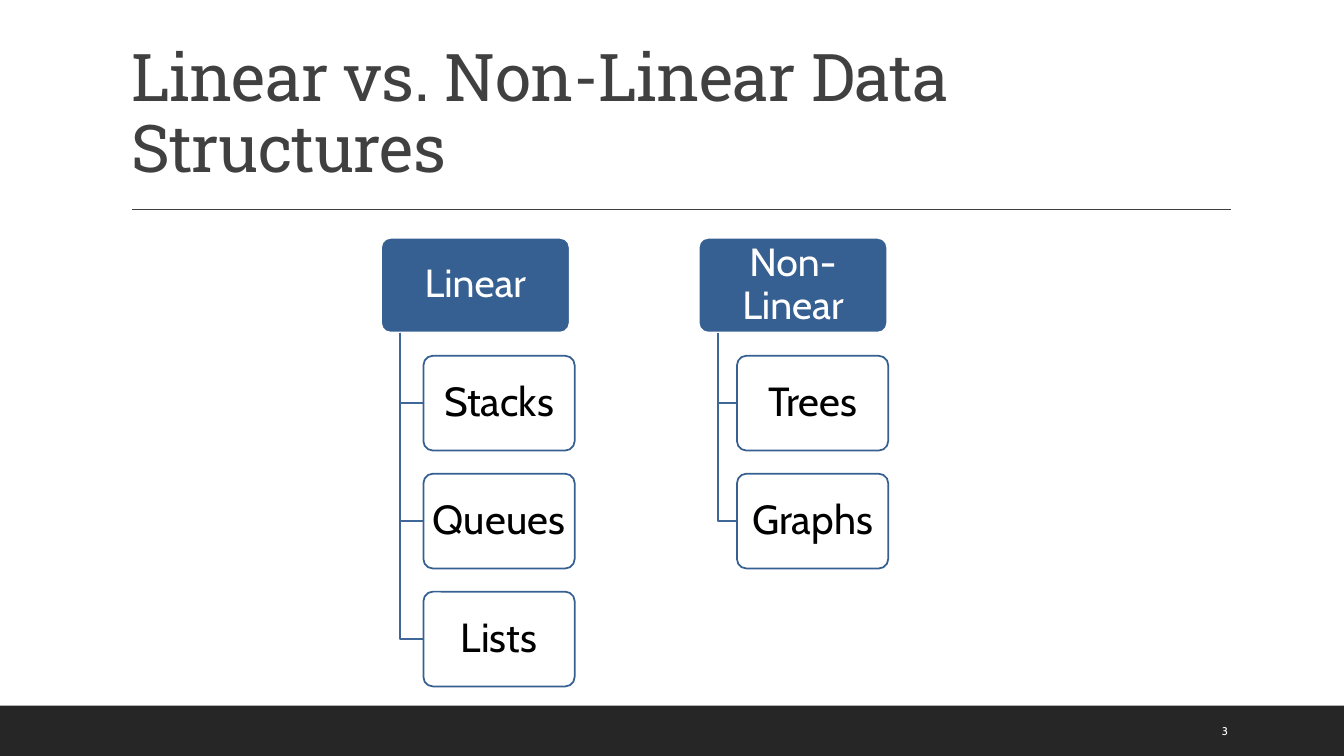
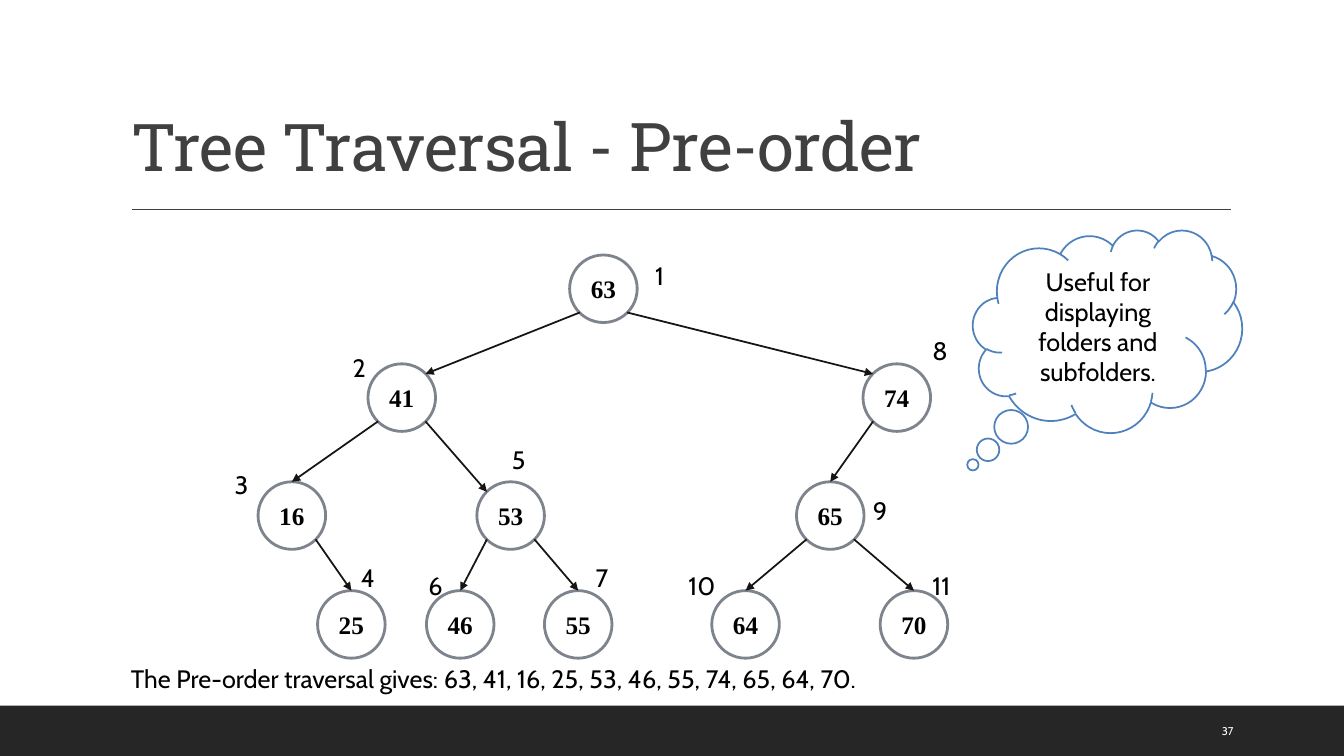
from dataclasses import dataclass
from typing import NamedTuple

from lxml.etree import SubElement
from pptx import Presentation
from pptx.dml.color import RGBColor
from pptx.enum.shapes import MSO_CONNECTOR as Link, MSO_SHAPE as Preset
from pptx.enum.text import MSO_ANCHOR as Anchor, MSO_AUTO_SIZE as AutoSize, PP_ALIGN as Align
from pptx.oxml.ns import qn
from pptx.shapes.autoshape import Shape
from pptx.shapes.connector import Connector
from pptx.slide import Slide
from pptx.text.text import TextFrame
from pptx.util import Emu, Pt

EMU_PER_PX = 9144
SLIDE_W, SLIDE_H = 1333, 750
TITLE_ONLY = 5


@dataclass(frozen=True)
class Theme:
    white: str = "FFFFFF"
    black: str = "000000"
    band: str = "262626"
    heading: str = "404040"
    branch: str = "376092"
    trunk: str = "3F6797"
    cloud: str = "4F81BD"
    node: str = "7E848D"
    arrow: str = "161514"
    heading_font: str = "Roboto Slab"
    body_font: str = "Cabin"
    node_font: str = "Times New Roman"
    title_size: int = 47
    emphasis_size: int = 48
    group_size: int = 28
    item_size: int = 29
    body_size: int = 18
    number_size: int = 8
    hairline: float = 1
    outline: float = 1.25
    node_outline: float = 2


THEME = Theme()


class Box(NamedTuple):
    x: int
    y: int
    w: int
    h: int


class Piece(NamedTuple):
    text: str
    size: int


@dataclass(frozen=True)
class Branch:
    name: str
    x: int
    item_x: int
    items: tuple[str, ...]


@dataclass(frozen=True)
class Node:
    key: int
    x: int
    row: int
    parent: int | None
    order_x: int
    order_y: int
    lands_on_top: bool = True


BRANCHES = (
    Branch("Linear", 378, 420, ("Stacks", "Queues", "Lists")),
    Branch("Non-Linear", 693, 731, ("Trees", "Graphs")),
)
BRANCH_TOP, BRANCH_STEP, BRANCH_H = 236, 117, 94
GROUP_W, ITEM_W, TRUNK_INDENT = 187, 150, 19

PRE_ORDER = (
    Node(63, 565, 0, None, 640, 253),
    Node(41, 365, 1, 63, 340, 345, False),
    Node(16, 256, 2, 41, 223, 461),
    Node(25, 315, 3, 16, 348, 553),
    Node(53, 473, 2, 41, 498, 436, False),
    Node(46, 423, 3, 53, 415, 561),
    Node(55, 540, 3, 53, 581, 553),
    Node(74, 856, 1, 63, 915, 328, False),
    Node(65, 790, 2, 74, 856, 486),
    Node(64, 706, 3, 65, 673, 561),
    Node(70, 873, 3, 65, 915, 561),
)
ROW_TOPS = (253, 361, 478, 586)
NODE_D, NODE_CORNER = 67, 10


def px(length: float) -> Emu:
    return Emu(round(length * EMU_PER_PX))


def rgb(color: str) -> RGBColor:
    return RGBColor.from_string(color)


def put_text(
    frame: TextFrame,
    *pieces: Piece,
    color: str = THEME.black,
    font: str = THEME.body_font,
    bold: bool = False,
    align: Align = Align.LEFT,
    anchor: Anchor = Anchor.TOP,
    inset: tuple[int, int] = (10, 5),
    leading: float = 1.0,
    tracking: int = 0,
) -> None:
    frame.word_wrap = True
    frame.auto_size = AutoSize.NONE
    frame.vertical_anchor = anchor
    frame.margin_left = frame.margin_right = px(inset[0])
    frame.margin_top = frame.margin_bottom = px(inset[1])
    paragraph = frame.paragraphs[0]
    paragraph.alignment = align
    paragraph.line_spacing = leading
    for piece in pieces:
        run = paragraph.add_run()
        run.text = piece.text
        run.font.name = font
        run.font.size = Pt(piece.size)
        run.font.bold = bold
        run.font.color.rgb = rgb(color)
        if tracking:
            run._r.get_or_add_rPr().set("spc", str(tracking))


def add_label(slide: Slide, box: Box, text: str, size: int = THEME.body_size, **style) -> None:
    label = slide.shapes.add_textbox(*map(px, box))
    put_text(label.text_frame, Piece(text, size), **style)


def add_figure(
    slide: Slide,
    preset: Preset,
    box: Box,
    fill: str = THEME.white,
    line: str | None = None,
    weight: float = THEME.outline,
) -> Shape:
    figure = slide.shapes.add_shape(preset, *map(px, box))
    figure.shadow.inherit = False
    figure.fill.solid()
    figure.fill.fore_color.rgb = rgb(fill)
    if line:
        figure.line.color.rgb = rgb(line)
        figure.line.width = Pt(weight)
    else:
        figure.line.fill.background()
    return figure


def add_line(
    slide: Slide, start: tuple[float, float], end: tuple[float, float], color: str, weight: float
) -> Connector:
    line = slide.shapes.add_connector(Link.STRAIGHT, *map(px, (*start, *end)))
    line.line.color.rgb = rgb(color)
    line.line.width = Pt(weight)
    SubElement(line._element.spPr, qn("a:effectLst"))
    return line


def add_frame(deck: Presentation, number: int, *title: Piece) -> Slide:
    slide = deck.slides.add_slide(deck.slide_layouts[TITLE_ONLY])
    add_figure(slide, Preset.RECTANGLE, Box(0, 700, SLIDE_W, 50), THEME.band)
    add_line(slide, (131, 208), (1221, 208), THEME.heading, THEME.hairline)
    heading = slide.shapes.title
    heading.left, heading.top, heading.width, heading.height = map(px, (120, 31, 1100, 159))
    put_text(
        heading.text_frame, *title, color=THEME.heading, font=THEME.heading_font,
        anchor=Anchor.BOTTOM, leading=0.9, tracking=-50,
    )
    add_label(
        slide, Box(1202, 705, 85, 40), str(number), THEME.number_size,
        color=THEME.white, anchor=Anchor.MIDDLE,
    )
    return slide


def add_card(slide: Slide, box: Box, text: Piece, fill: str, line: str, color: str) -> None:
    card = add_figure(slide, Preset.ROUNDED_RECTANGLE, box, fill, line)
    card.adjustments[0] = 0.1
    put_text(
        card.text_frame, text, color=color, align=Align.CENTER,
        anchor=Anchor.MIDDLE, inset=(6, 4), leading=0.9,
    )


def add_elbow(slide: Slide, x: int, top: int, end_x: int, end_y: int) -> None:
    builder = slide.shapes.build_freeform(x, top, scale=EMU_PER_PX)
    builder.add_line_segments([(x, end_y), (end_x, end_y)], close=False)
    elbow = builder.convert_to_shape()
    elbow.shadow.inherit = False
    elbow.fill.background()
    elbow.line.color.rgb = rgb(THEME.trunk)
    elbow.line.width = Pt(THEME.outline)


def add_branch(slide: Slide, branch: Branch) -> None:
    add_card(
        slide, Box(branch.x, BRANCH_TOP, GROUP_W, BRANCH_H),
        Piece(branch.name, THEME.group_size), THEME.branch, THEME.white, THEME.white,
    )
    for level, item in enumerate(branch.items, start=1):
        top = BRANCH_TOP + level * BRANCH_STEP
        add_elbow(
            slide, branch.x + TRUNK_INDENT, BRANCH_TOP + BRANCH_H,
            branch.item_x, top + BRANCH_H // 2,
        )
        add_card(
            slide, Box(branch.item_x, top, ITEM_W, BRANCH_H),
            Piece(item, THEME.item_size), THEME.white, THEME.branch, THEME.black,
        )


def add_node(slide: Slide, node: Node) -> Shape:
    circle = add_figure(
        slide, Preset.OVAL, Box(node.x, ROW_TOPS[node.row], NODE_D, NODE_D),
        line=THEME.node, weight=THEME.node_outline,
    )
    put_text(
        circle.text_frame, Piece(str(node.key), THEME.body_size), font=THEME.node_font,
        bold=True, align=Align.CENTER, anchor=Anchor.MIDDLE, inset=(0, 0),
    )
    return circle


def corner(node: Node, right: bool, bottom: bool) -> tuple[int, int]:
    near, far = NODE_CORNER, NODE_D - NODE_CORNER
    return node.x + (far if right else near), ROW_TOPS[node.row] + (far if bottom else near)


def add_edge(slide: Slide, parent: Node, child: Node, child_circle: Shape) -> None:
    goes_right = child.x > parent.x
    start = corner(parent, goes_right, bottom=True)
    end = corner(child, not goes_right, bottom=False)
    edge = add_line(slide, start, end, THEME.arrow, THEME.outline)
    if child.lands_on_top:
        edge.end_connect(child_circle, 0)
    SubElement(edge.line._get_or_add_ln(), qn("a:tailEnd"), type="triangle")


def add_tree(slide: Slide) -> None:
    nodes = {node.key: node for node in PRE_ORDER}
    circles = {node.key: add_node(slide, node) for node in PRE_ORDER}
    for order, node in enumerate(PRE_ORDER, start=1):
        if node.parent is not None:
            add_edge(slide, nodes[node.parent], node, circles[node.key])
        add_label(slide, Box(node.order_x, node.order_y, 50, 42), str(order))


def build_structures(deck: Presentation) -> None:
    title = Piece("Linear vs. Non-Linear Data Structures", THEME.title_size)
    slide = add_frame(deck, 3, title)
    for branch in BRANCHES:
        add_branch(slide, branch)


def build_traversal(deck: Presentation) -> None:
    slide = add_frame(
        deck, 37,
        Piece("Tree Traversal - ", THEME.title_size),
        Piece("Pre-order", THEME.emphasis_size),
    )
    visited = ", ".join(str(node.key) for node in PRE_ORDER)
    add_label(slide, Box(120, 653, 1079, 40), f"The Pre-order traversal gives: {visited}.")
    thought = add_figure(slide, Preset.CLOUD_CALLOUT, Box(965, 228, 267, 201), line=THEME.cloud)
    thought.adjustments[0], thought.adjustments[1] = -0.5, 0.66
    put_text(
        thought.text_frame,
        Piece("Useful for displaying folders and subfolders.", THEME.body_size),
        align=Align.CENTER, anchor=Anchor.MIDDLE,
    )
    add_tree(slide)


def main() -> None:
    deck = Presentation()
    deck.slide_width, deck.slide_height = px(SLIDE_W), px(SLIDE_H)
    build_structures(deck)
    build_traversal(deck)
    deck.save("out.pptx")


if __name__ == "__main__":
    main()
